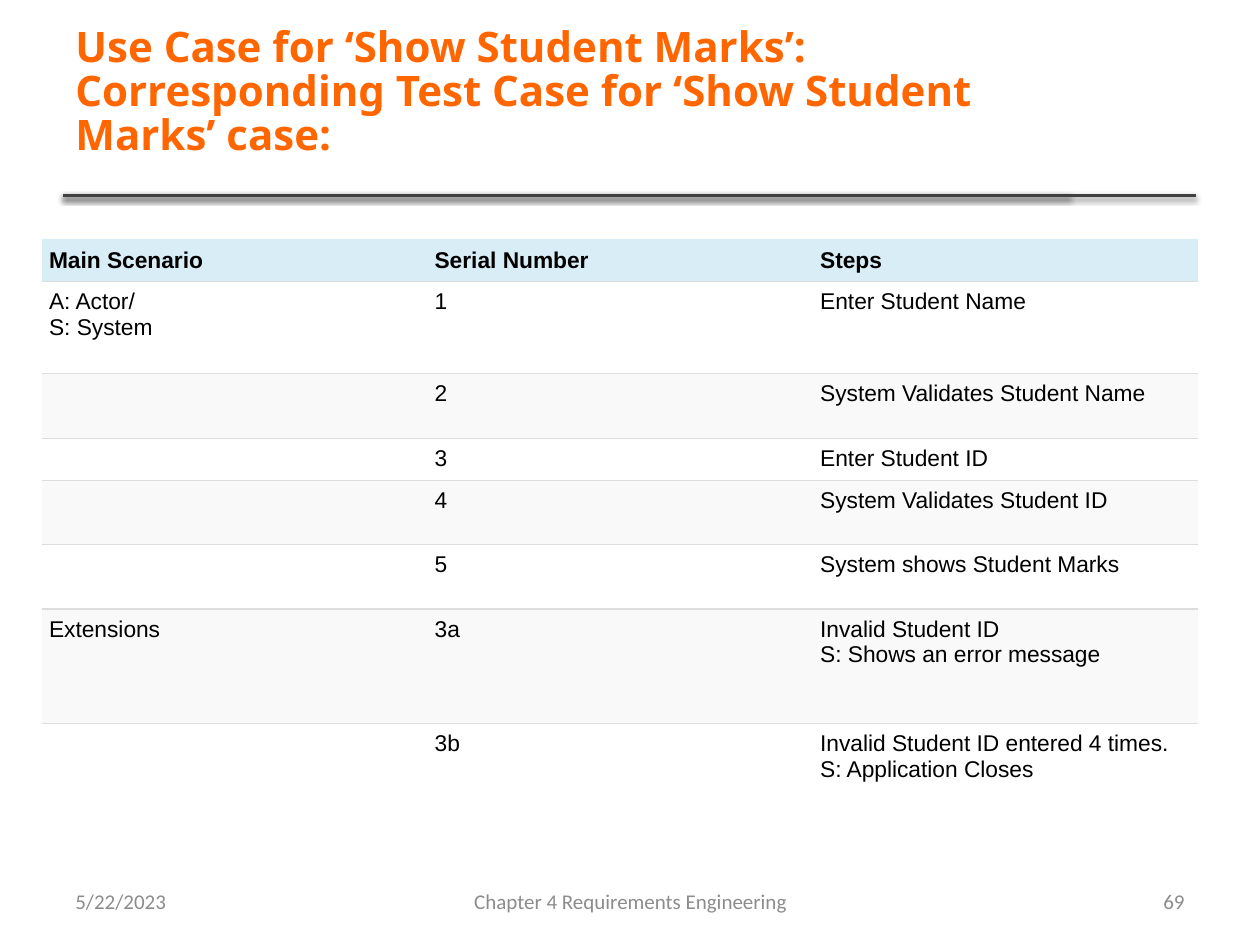
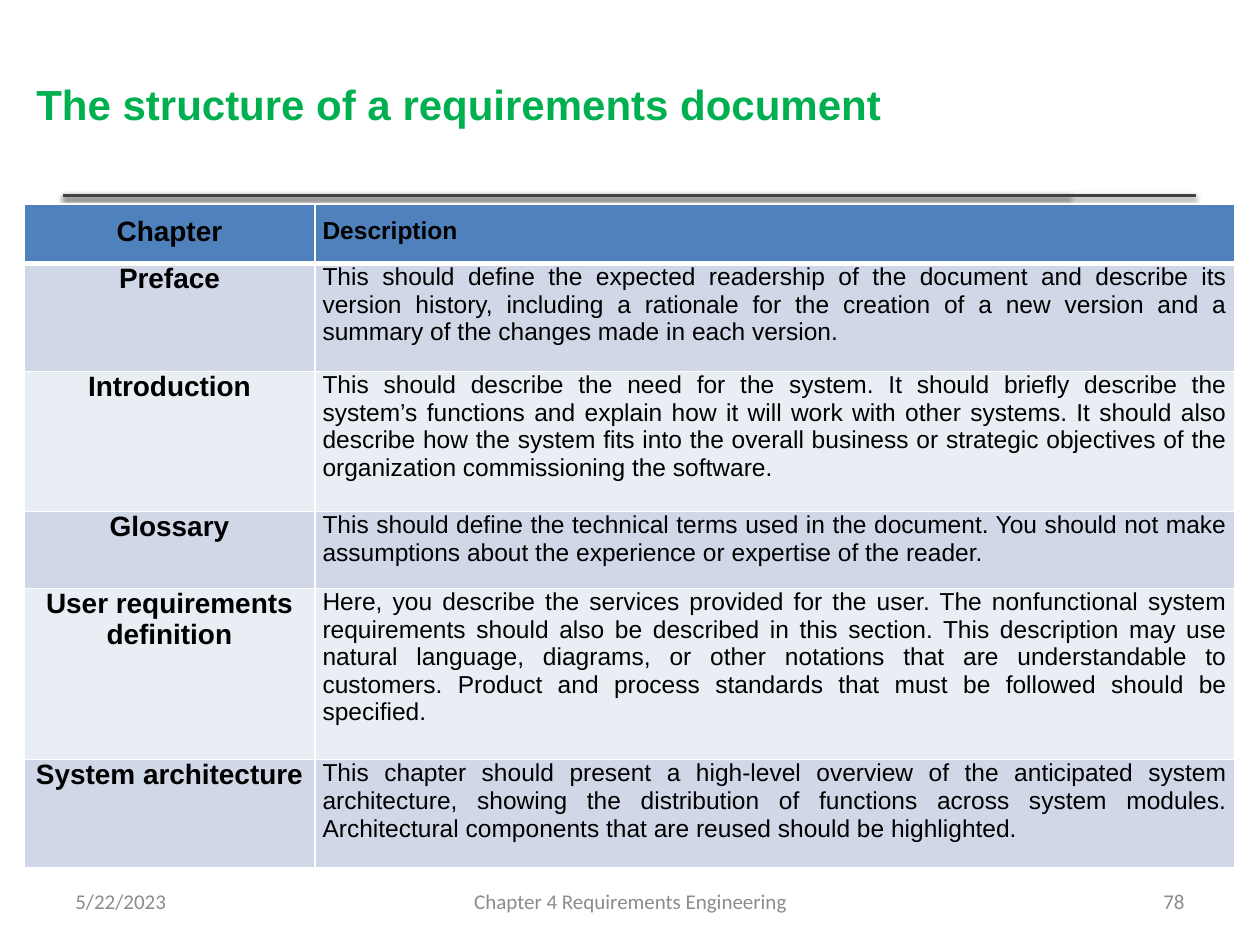
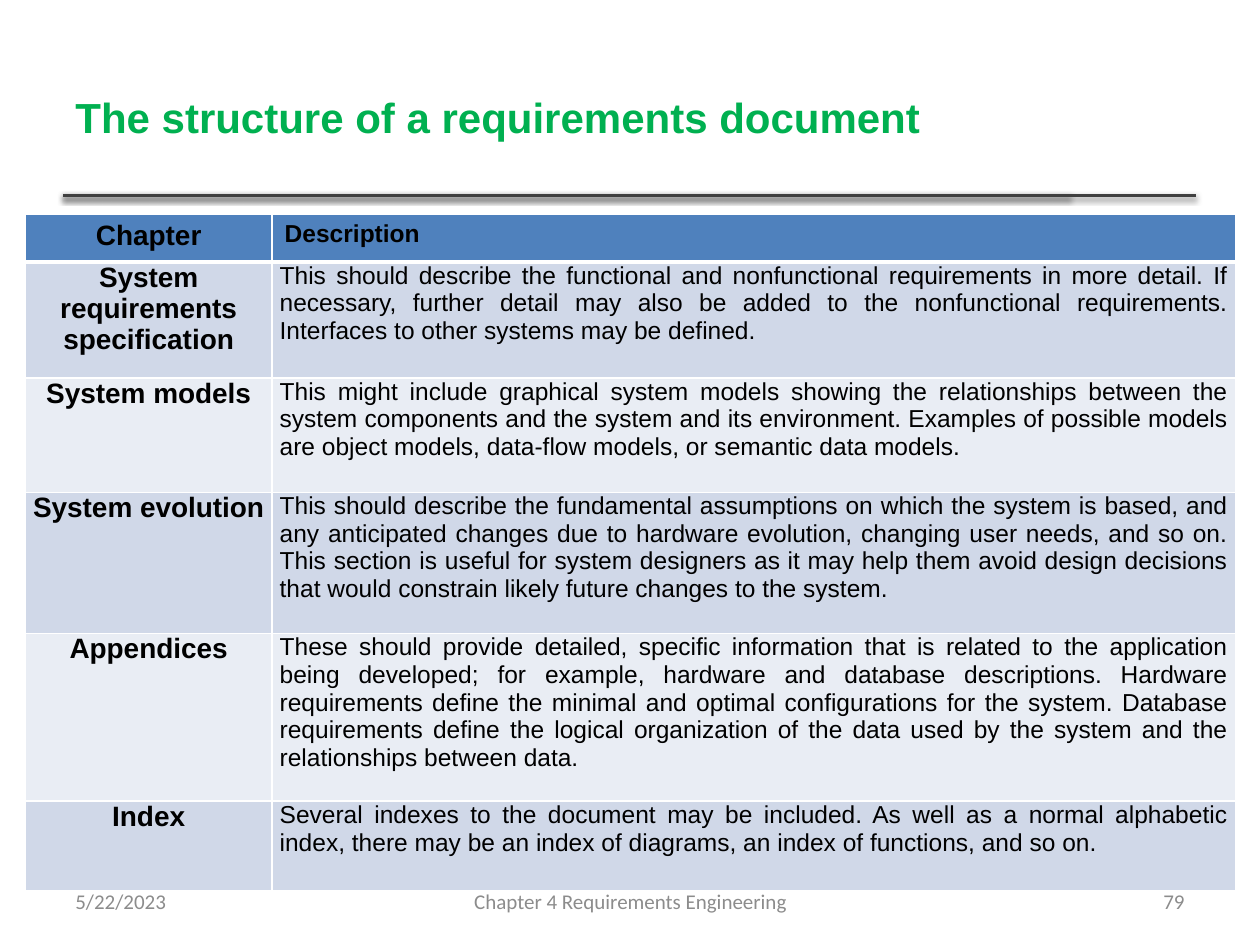
from lxml import etree
from pptx import Presentation
from pptx import util as u
from pptx.dml.color import RGBColor
from pptx.enum import shapes, text
from pptx.oxml.ns import qn

ORANGE, GREEN = "FF6600", "00B050"
BLACK, WHITE, GREY, RULE = "000000", "FFFFFF", "8C8C8C", "404040"
SIDES = {"l": "lnL", "r": "lnR", "t": "lnT", "b": "lnB"}
LEFT, CENTER, RIGHT, JUSTIFY = (text.PP_ALIGN.LEFT, text.PP_ALIGN.CENTER,
                                text.PP_ALIGN.RIGHT, text.PP_ALIGN.JUSTIFY)
TOP, MIDDLE = text.MSO_ANCHOR.TOP, text.MSO_ANCHOR.MIDDLE
TITLE_BOX = (0.5, 0.3, 7.98, 1.25)
BODY_INSETS = (0.06, 0, 0.06, 0.1)


def rgb(value):
    return RGBColor.from_string(value)


def sub(parent, tag, **attrs):
    return etree.SubElement(parent, qn(tag), **attrs)


class Deck:
    def __init__(self):
        self.prs = Presentation()
        self.prs.slide_width, self.prs.slide_height = u.Inches(10), u.Inches(7.5)
        self.s = None

    def slide(self, number):
        """New slide with the shared double rule and footer."""
        self.s = self.prs.slides.add_slide(self.prs.slide_layouts[6])
        for end in (8.49, 9.49):
            self.rule(0.5, end, 1.55)
        for label, x, w, align in (
                ("5/22/2023", 0.5, 2.33, LEFT),
                ("Chapter 4 Requirements Engineering", 3.42, 3.17, CENTER),
                (str(number), 7.17, 2.33, RIGHT)):
            self.text(label, (x, 6.95, w, 0.4), 12, GREY, "Calibri", align=align)

    def rule(self, x1, x2, y):
        ln = self.s.shapes.add_connector(
            shapes.MSO_CONNECTOR.STRAIGHT,
            u.Inches(x1), u.Inches(y), u.Inches(x2), u.Inches(y))
        ln.line.color.rgb = rgb(RULE)
        ln.line.width = u.Pt(2)
        effects = sub(ln._element.spPr, "a:effectLst")
        shadow = sub(effects, "a:outerShdw", blurRad=str(u.Pt(3.1)),
                     dist=str(u.Pt(1.6)), dir="5400000", rotWithShape="0")
        sub(sub(shadow, "a:srgbClr", val=BLACK), "a:alpha", val="38000")

    def style(self, tf, size, color, font, bold, align):
        for p in tf.paragraphs:
            p.alignment = align
            for r in p.runs:
                r.font.size, r.font.bold, r.font.name = u.Pt(size), bold, font
                r.font.color.rgb = rgb(color)
            if not p.runs:
                sub(p._p, "a:endParaRPr", sz=str(size * 100))

    def text(self, content, box, size, color, font, bold=False, align=LEFT):
        tf = self.s.shapes.add_textbox(*map(u.Inches, box)).text_frame
        tf.word_wrap = True
        tf.vertical_anchor = MIDDLE
        tf.text = content
        self.style(tf, size, color, font, bold, align)
        return tf

    def title(self, content, color, font="Arial", box=TITLE_BOX):
        return self.text(content, box, 24, color, font, bold=True)

    def table(self, x, y, widths, heights):
        gf = self.s.shapes.add_table(
            len(heights), len(widths), u.Inches(x), u.Inches(y),
            u.Inches(sum(widths)), u.Inches(sum(heights)))
        tbl = gf.table
        tbl.first_row = tbl.horz_banding = False
        for col, w in zip(tbl.columns, widths):
            col.width = u.Inches(w)
        for row, h in zip(tbl.rows, heights):
            row.height = u.Inches(h)
        return tbl

    def cell(self, cell, content, size, fill, borders, insets,
             bold=False, align=LEFT, anchor=TOP):
        """Borders map a side letter to (colour, width); other sides are bare."""
        cell.text = content
        self.style(cell.text_frame, size, BLACK, "Arial", bold, align)
        cell.vertical_anchor = anchor
        (cell.margin_left, cell.margin_top,
         cell.margin_right, cell.margin_bottom) = map(u.Inches, insets)
        tcPr = cell._tc.get_or_add_tcPr()
        for side, tag in SIDES.items():
            if side in borders:
                color, width = borders[side]
                ln = sub(tcPr, "a:" + tag, w=str(u.Pt(width)))
                sub(sub(ln, "a:solidFill"), "a:srgbClr", val=color)
            else:
                sub(sub(tcPr, "a:" + tag, w="0"), "a:noFill")
        cell.fill.solid()
        cell.fill.fore_color.rgb = rgb(fill)

    def scenario_table(self, rows, heights):
        tbl = self.table(0.33, 1.9, [3.06] * 3, heights)
        line = ("DDDDDD", 0.75)
        for i, row in enumerate(rows):
            header = i == 0
            fill = "D9EDF7" if header else (WHITE, "F9F9F9")[(i - 1) % 2]
            borders = {"t": line} if i else {}
            if i < len(rows) - 1:
                borders["b"] = line
            for j, content in enumerate(row):
                self.cell(tbl.cell(i, j), content, 13, fill, borders, [0.06] * 4,
                          bold=header, anchor=MIDDLE if header else TOP)

    def chapter_table(self, x, y, widths, heights, rows, head_insets, head_align):
        tbl = self.table(x, y, widths, heights)
        for i, (chapter, description) in enumerate([("Chapter", "Description")] + rows):
            header = i == 0
            fill = "4F81BD" if header else ("D0D8E8", "E9EDF4")[(i - 1) % 2]
            borders = dict.fromkeys("lrtb", (WHITE, 1))
            if i < 2:
                borders["b" if header else "t"] = (WHITE, 3)
            insets = head_insets if header else BODY_INSETS
            self.cell(tbl.cell(i, 0), chapter, 16, fill, borders, insets,
                      bold=True, align=CENTER)
            self.cell(tbl.cell(i, 1), description, 14, fill, borders, insets,
                      bold=header, align=head_align if header else JUSTIFY)


SCENARIO = [
    ("Main Scenario", "Serial Number", "Steps"),
    ("A: Actor/\vS: System", "1", "Enter Student Name"),
    ("", "2", "System Validates Student Name"),
    ("", "3", "Enter Student ID"),
    ("", "4", "System Validates Student ID"),
    ("", "5", "System shows Student Marks"),
    ("Extensions", "3a", "Invalid Student ID\vS: Shows an error message"),
    ("", "3b", "Invalid Student ID entered 4 times.\vS: Application Closes"),
]

FIRST_CHAPTERS = [
    ("Preface",
     "This should define the expected readership of the document and describe its "
     "version history, including a rationale for the creation of a new version and a "
     "summary of the changes made in each version."),
    ("Introduction",
     "This should describe the need for the system. It should briefly describe the "
     "system’s functions and explain how it will work with other systems. It should "
     "also describe how the system fits into the overall business or strategic "
     "objectives of the organization commissioning the software."),
    ("Glossary",
     "This should define the technical terms used in the document. You should not make "
     "assumptions about the experience or expertise of the reader."),
    ("User requirements definition",
     "Here, you describe the services provided for the user. The nonfunctional system "
     "requirements should also be described in this section. This description may use "
     "natural language, diagrams, or other notations that are understandable to "
     "customers. Product and process standards that must be followed should be "
     "specified."),
    ("System architecture",
     "This chapter should present a high-level overview of the anticipated system "
     "architecture, showing the distribution of functions across system modules. "
     "Architectural components that are reused should be highlighted."),
]

LAST_CHAPTERS = [
    ("System requirements specification",
     "This should describe the functional and nonfunctional requirements in more "
     "detail. If necessary, further detail may also be added to the nonfunctional "
     "requirements. Interfaces to other systems may be defined."),
    ("System models",
     "This might include graphical system models showing the relationships between the "
     "system components and the system and its environment. Examples of possible models "
     "are object models, data-flow models, or semantic data models."),
    ("System evolution",
     "This should describe the fundamental assumptions on which the system is based, "
     "and any anticipated changes due to hardware evolution, changing user needs, and "
     "so on. This section is useful for system designers as it may help them avoid "
     "design decisions that would constrain likely future changes to the system."),
    ("Appendices",
     "These should provide detailed, specific information that is related to the "
     "application being developed; for example, hardware and database descriptions. "
     "Hardware requirements define the minimal and optimal configurations for the "
     "system. Database requirements define the logical organization of the data used "
     "by the system and the relationships between data."),
    ("Index",
     "Several indexes to the document may be included. As well as a normal alphabetic "
     "index, there may be an index of diagrams, an index of functions, and so on."),
]


def main():
    deck = Deck()
    structure = "The structure of a requirements document"

    # Use case and its test case
    deck.slide(69)
    tf = deck.title("Use Case for ‘Show Student Marks’:\v"
                    "Corresponding Test Case for ‘Show Student Marks’ case:",
                    ORANGE, "Noto Sans")
    tf.margin_bottom = u.Inches(0.42)
    tf.paragraphs[0].line_spacing = 0.88
    deck.scenario_table(SCENARIO, [0.32, 0.73, 0.51, 0.33, 0.51, 0.51, 0.91, 0.91])

    # Document structure, first chapters
    deck.slide(78)
    deck.title(structure, GREEN, box=(0.19, 0.23, 8.06, 1.19))
    deck.chapter_table(0.19, 1.62, [2.31, 7.3], [0.47, 0.86, 1.11, 0.61, 1.36, 0.86],
                       FIRST_CHAPTERS, (0.06, 0.1, 0.06, 0.1), JUSTIFY)

    # Document structure, last chapters
    deck.slide(79)
    deck.title(structure, GREEN)
    deck.chapter_table(0.2, 1.7, [1.96, 7.65], [0.38, 0.92, 0.91, 1.12, 1.33, 0.71],
                       LAST_CHAPTERS, (0.1, 0.05, 0.1, 0.05), LEFT)

    deck.prs.save("out.pptx")


if __name__ == "__main__":
    main()
